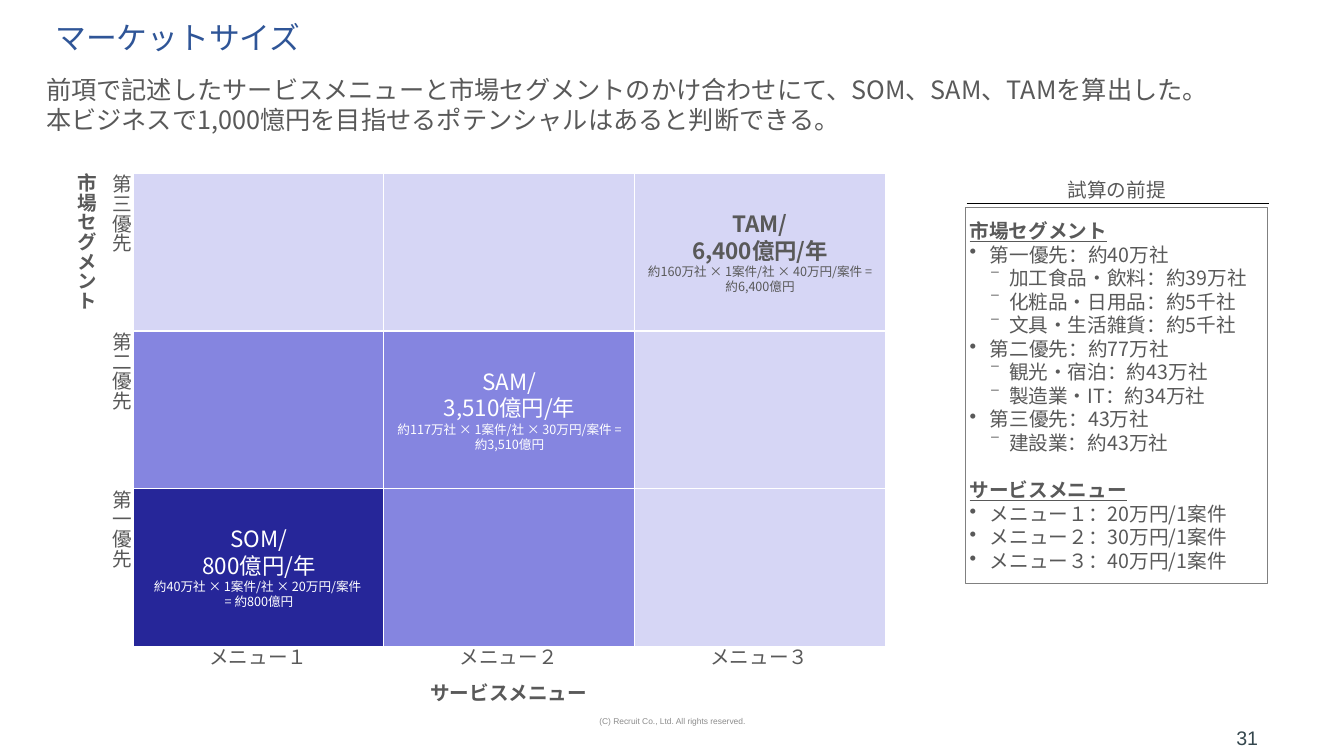
from lxml.etree import SubElement
from pptx import Presentation
from pptx.dml.color import RGBColor as RGB
from pptx.enum.shapes import MSO_CONNECTOR as LINE, MSO_SHAPE as SHAPE
from pptx.enum.text import MSO_ANCHOR as ANCHOR, PP_ALIGN as ALIGN
from pptx.oxml.ns import qn
from pptx.util import Inches, Pt

WHITE = RGB(0xFF, 0xFF, 0xFF)
BLACK = RGB(0, 0, 0)
TEXT = RGB(0x59, 0x59, 0x59)
TITLE = RGB(0x2F, 0x55, 0x97)
NOTE = RGB(0x8C, 0x8C, 0x8C)
PAGE = RGB(0x34, 0x46, 0x4D)
EDGE = RGB(0x80, 0x80, 0x80)
DARK = RGB(0x26, 0x26, 0x99)
MID = RGB(0x85, 0x85, 0xE0)
PALE = RGB(0xD6, 0xD6, 0xF5)
SANS, LATIN = "Noto Sans CJK JP", "Arial"
PAD = (0.1, 0.05)
NONE = (0, 0)


class Board:
    """Holds the slide; lengths are percentages of its width and height."""

    def __init__(self, deck):
        self.wide, self.high = deck.slide_width, deck.slide_height
        self.slide = deck.slides.add_slide(deck.slide_layouts[6])

    def box(self, left, top, wide, high):
        return (int(left * self.wide / 100), int(top * self.high / 100),
                int(wide * self.wide / 100), int(high * self.high / 100))

    def frame(self, shape, pad, anchor):
        frame = shape.text_frame
        frame.word_wrap = True
        frame.vertical_anchor = anchor
        frame.margin_left = frame.margin_right = Inches(pad[0])
        frame.margin_top = frame.margin_bottom = Inches(pad[1])
        return frame

    def para(self, frame, text, size, color=TEXT, bold=False, under=False,
             face=SANS, align=ALIGN.LEFT, mark=None, indent=0, hang=0):
        para = frame.paragraphs[0]
        if para.runs:
            para = frame.add_paragraph()
        para.text = text
        para.alignment = align
        props = para._p.get_or_add_pPr()
        if mark:
            props.set("marL", str(Inches(indent)))
            props.set("indent", str(-Inches(hang)))
            SubElement(props, qn("a:buChar")).set("char", mark)
        font = para.font
        font.size, font.bold, font.underline = Pt(size), bold, under
        font.color.rgb = color
        font.name = face
        SubElement(props.find(qn("a:defRPr")), qn("a:ea")).set("typeface", face)
        return para

    def text(self, place, lines, size, pad=PAD, anchor=ANCHOR.TOP,
             upright=False, **style):
        shape = self.slide.shapes.add_textbox(*self.box(*place))
        frame = self.frame(shape, pad, anchor)
        if upright:
            frame._txBody.bodyPr.set("vert", "eaVert")
        return [self.para(frame, line, size, **style) for line in lines]

    def rect(self, place, fill, edge, pad=PAD):
        shape = self.slide.shapes.add_shape(SHAPE.RECTANGLE, *self.box(*place))
        shape.shadow.inherit = False
        if fill is None:
            shape.fill.background()
        else:
            shape.fill.solid()
            shape.fill.fore_color.rgb = fill
        shape.line.color.rgb = edge
        shape.line.width = Pt(0.75)
        return self.frame(shape, pad, ANCHOR.MIDDLE)

    def rule(self, left, right, top):
        x, y, wide, _ = self.box(left, top, right - left, 0)
        line = self.slide.shapes.add_connector(LINE.STRAIGHT, x, y, x + wide, y)
        line.line.color.rgb = BLACK
        line.line.width = Pt(0.75)
        SubElement(line._element.spPr, qn("a:effectLst"))


deck = Presentation()
deck.slide_width, deck.slide_height = Inches(13.33), Inches(7.5)
board = Board(deck)

# Title, lead and footer
title = board.text((3.38, 0.67, 92.25, 9.2), ["マーケットサイズ"], 22,
                   anchor=ANCHOR.MIDDLE, color=TITLE)
title[0].line_spacing = 0.9
board.text((2.7, 9.2, 94.6, 14.93), [
    "前項で記述したサービスメニューと市場セグメントのかけ合わせにて、SOM、SAM、TAMを算出した。",
    "本ビジネスで1,000憶円を目指せるポテンシャルはあると判断できる。"], 18)
board.text((33.15, 92.67, 33.75, 5.33),
           ["(C) Recruit Co., Ltd. All rights reserved."], 6,
           anchor=ANCHOR.MIDDLE, color=NOTE, face=LATIN, align=ALIGN.CENTER)
board.text((71.85, 94.93, 22.5, 5.33), ["31"], 14, anchor=ANCHOR.MIDDLE,
           color=PAGE, face=LATIN, align=ALIGN.RIGHT)

# Market grid: each shade spreads out from the lower left corner
LEFT, TOP, COL, ROW = 9.9, 22.93, 18.64, 20.87
SHADES = (DARK, MID, PALE)
SIZES = {
    (0, 2): (WHITE, False, "SOM/", "800億円/年",
             "約40万社 × 1案件/社 × 20万円/案件 \n= 約800億円"),
    (1, 1): (WHITE, False, "SAM/", "3,510億円/年",
             "約117万社 × 1案件/社 × 30万円/案件 = 約3,510億円"),
    (2, 0): (TEXT, True, "TAM/", "6,400億円/年",
             "約160万社 × 1案件/社 × 40万円/案件 = 約6,400億円"),
}
for row in range(3):
    for col in range(3):
        cell = board.rect((LEFT + col * COL, TOP + row * ROW, 18.75, 20.8),
                          SHADES[max(col, 2 - row)], WHITE)
        if (col, row) in SIZES:
            color, bold, name, worth, sums = SIZES[col, row]
            for line in (name, worth):
                board.para(cell, line, 16, color, bold, align=ALIGN.CENTER)
            board.para(cell, sums, 9, color, align=ALIGN.CENTER)

# Axis labels
for i, (menu, rank) in enumerate(zip("１２３", "三二一")):
    board.text((LEFT + i * COL, 85.33, COL, 3.2), ["メニュー" + menu], 14,
               NONE, align=ALIGN.CENTER)
    board.text((8.1, TOP + 0.15 + i * ROW, 1.8, 20.5), [f"第{rank}優先"], 14,
               NONE, upright=True)
board.text((LEFT, 90.13, 3 * COL, 3.2), ["サービスメニュー"], 14, NONE,
           bold=True, align=ALIGN.CENTER)
board.text((5.55, TOP, 1.8, 62.4), ["市場セグメント"], 14, NONE,
           upright=True, bold=True)

# Assumptions
BASIS = [
    (0, "市場セグメント"),
    (1, "第一優先：約40万社"),
    (2, "加工食品・飲料：約39万社"),
    (2, "化粧品・日用品：約5千社"),
    (2, "文具・生活雑貨：約5千社"),
    (1, "第二優先：約77万社"),
    (2, "観光・宿泊：約43万社"),
    (2, "製造業・IT：約34万社"),
    (1, "第三優先：43万社"),
    (2, "建設業：約43万社"),
    (0, "サービスメニュー"),
    (1, "メニュー１：20万円/1案件"),
    (1, "メニュー２：30万円/1案件"),
    (1, "メニュー３：40万円/1案件"),
]
LEVELS = (dict(bold=True, under=True),
          dict(mark="•", indent=0.2, hang=0.2),
          dict(mark="⁻", indent=0.39, hang=0.19))
panel = board.rect((71.85, 27.47, 22.5, 49.73), None, EDGE, (0.04, 0.05))
for i, (level, line) in enumerate(BASIS):
    para = board.para(panel, line, 14, **LEVELS[level])
    if i and level == 0:
        para.space_before = Pt(17)
board.rule(71.93, 94.43, 26.93)
board.text((71.85, TOP, 22.5, 4.53), ["試算の前提"], 14, align=ALIGN.CENTER)

deck.save("out.pptx")
